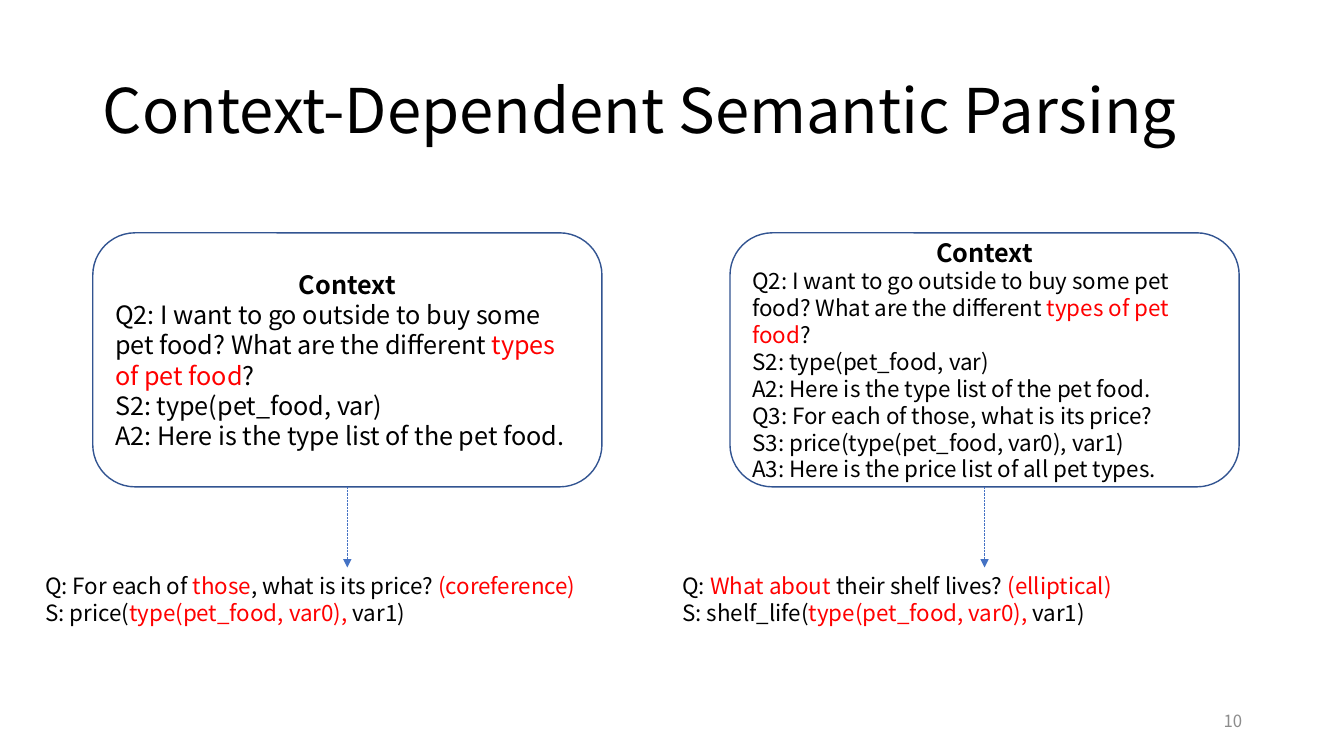
"""Build the slide on context-dependent semantic parsing."""
from dataclasses import dataclass

from lxml import etree
from pptx import Presentation
from pptx.dml.color import RGBColor
from pptx.enum.dml import MSO_LINE
from pptx.enum.shapes import MSO_CONNECTOR, MSO_SHAPE
from pptx.enum.text import MSO_ANCHOR, MSO_AUTO_SIZE, PP_ALIGN
from pptx.oxml.ns import qn
from pptx.slide import Slide
from pptx.text.text import TextFrame, _Paragraph
from pptx.util import Inches, Pt

FONT = "Noto Sans CJK SC"
BLACK = RGBColor(0x00, 0x00, 0x00)
RED = RGBColor(0xFF, 0x00, 0x00)
WHITE = RGBColor(0xFF, 0xFF, 0xFF)
GRAY = RGBColor(0x8C, 0x8C, 0x8C)
NAVY = RGBColor(0x32, 0x54, 0x91)
BLUE = RGBColor(0x44, 0x72, 0xC4)

BOX_LEFT, BOX_TOP, BOX_WIDTH, BOX_HEIGHT = 0.92, 2.31, 5.05, 2.52
QUERY_LEFT, QUERY_TOP, QUERY_WIDTH, QUERY_HEIGHT = 0.35, 5.63, 6.18, 0.64
COLUMN_STEP = 6.32


@dataclass(frozen=True)
class Example:
    """A dialogue context and the query that depends on it; bars enclose red text."""

    context: list[str]
    context_size: int
    query: list[str]


SHARED_CONTEXT = [
    "Q2: I want to go outside to buy some pet food? "
    "What are the different |types of pet food|?",
    "S2: type(pet_food, var)",
    "A2: Here is the type list of the pet food.",
]
EXAMPLES = [
    Example(
        SHARED_CONTEXT,
        18,
        [
            "Q: For each of |those|, what is its price? |(coreference)",
            "S: price(|type(pet_food, var0), |var1)",
        ],
    ),
    Example(
        SHARED_CONTEXT
        + [
            "Q3: For each of those, what is its price?",
            "S3: price(type(pet_food, var0), var1)",
            "A3: Here is the price list of all pet types.",
        ],
        16,
        [
            "Q: |What about |their shelf lives? |(elliptical)",
            "S: shelf_life(|type(pet_food, var0), |var1)",
        ],
    ),
]


def add_runs(p: _Paragraph, text: str, size: int, color: RGBColor = BLACK,
             bold: bool = False, align: PP_ALIGN = PP_ALIGN.LEFT) -> None:
    """Fill a paragraph, colouring every second bar-separated part red."""
    p.alignment = align
    font_format = {"name": FONT, "size": Pt(size), "bold": bold}
    for i, part in enumerate(text.split("|")):
        r = p.add_run()
        r.text = part
        for name, value in font_format.items():
            setattr(r.font, name, value)
        r.font.color.rgb = RED if i % 2 else color


def format_frame(tf: TextFrame, anchor: MSO_ANCHOR,
                 auto_size: MSO_AUTO_SIZE = MSO_AUTO_SIZE.NONE) -> None:
    """Set wrapping, anchor and fitting of a text frame."""
    frame_format = {"word_wrap": True, "vertical_anchor": anchor, "auto_size": auto_size}
    for name, value in frame_format.items():
        setattr(tf, name, value)


def add_title(s: Slide, text: str) -> None:
    """Place and format the title placeholder."""
    title = s.shapes.title
    place = {"left": 0.92, "top": 0.4, "width": 11.5, "height": 1.45}
    for name, value in place.items():
        setattr(title, name, Inches(value))
    format_frame(title.text_frame, MSO_ANCHOR.MIDDLE)
    p = title.text_frame.paragraphs[0]
    p.line_spacing = 0.9
    add_runs(p, text, 44)


def add_context(s: Slide, example: Example, offset: float) -> None:
    """Draw the rounded box that holds the dialogue context."""
    box = s.shapes.add_shape(
        MSO_SHAPE.ROUNDED_RECTANGLE, Inches(BOX_LEFT + offset), Inches(BOX_TOP),
        Inches(BOX_WIDTH), Inches(BOX_HEIGHT))
    box.shadow.inherit = False
    box.fill.solid()
    box.fill.fore_color.rgb = WHITE
    box.line.color.rgb = NAVY
    box.line.width = Pt(1)
    tf = box.text_frame
    format_frame(tf, MSO_ANCHOR.MIDDLE)
    add_runs(tf.paragraphs[0], "Context", 18, bold=True, align=PP_ALIGN.CENTER)
    for line in example.context:
        add_runs(tf.add_paragraph(), line, example.context_size)


def add_arrow(s: Slide, offset: float) -> None:
    """Draw the dotted arrow from the context box down to the query."""
    x = Inches(BOX_LEFT + BOX_WIDTH / 2 + offset)
    arrow = s.shapes.add_connector(
        MSO_CONNECTOR.STRAIGHT, x, Inches(BOX_TOP + BOX_HEIGHT), x, Inches(QUERY_TOP))
    arrow.line.color.rgb = BLUE
    arrow.line.width = Pt(0.5)
    arrow.line.dash_style = MSO_LINE.ROUND_DOT
    etree.SubElement(arrow.line._get_or_add_ln(), qn("a:tailEnd"), type="triangle")
    etree.SubElement(arrow._element.spPr, qn("a:effectLst"))


def add_query(s: Slide, example: Example, offset: float) -> None:
    """Write the query and its logical form below the arrow."""
    box = s.shapes.add_textbox(
        Inches(QUERY_LEFT + offset), Inches(QUERY_TOP),
        Inches(QUERY_WIDTH), Inches(QUERY_HEIGHT))
    tf = box.text_frame
    format_frame(tf, MSO_ANCHOR.TOP, MSO_AUTO_SIZE.SHAPE_TO_FIT_TEXT)
    for i, line in enumerate(example.query):
        add_runs(tf.add_paragraph() if i else tf.paragraphs[0], line, 16)


def add_page_number(s: Slide, number: str) -> None:
    """Write the page number at the bottom right."""
    box = s.shapes.add_textbox(Inches(9.42), Inches(6.95), Inches(3), Inches(0.4))
    format_frame(box.text_frame, MSO_ANCHOR.MIDDLE)
    add_runs(box.text_frame.paragraphs[0], number, 12, GRAY, align=PP_ALIGN.RIGHT)


def main() -> None:
    """Build and save the presentation."""
    prs = Presentation()
    prs.slide_width, prs.slide_height = Inches(13.33), Inches(7.5)
    s = prs.slides.add_slide(prs.slide_layouts.get_by_name("Title Only"))
    add_title(s, "Context-Dependent Semantic Parsing")
    for i, example in enumerate(EXAMPLES):
        offset = i * COLUMN_STEP
        add_query(s, example, offset)
        add_context(s, example, offset)
        add_arrow(s, offset)
    add_page_number(s, "10")
    prs.save("out.pptx")


if __name__ == "__main__":
    main()
